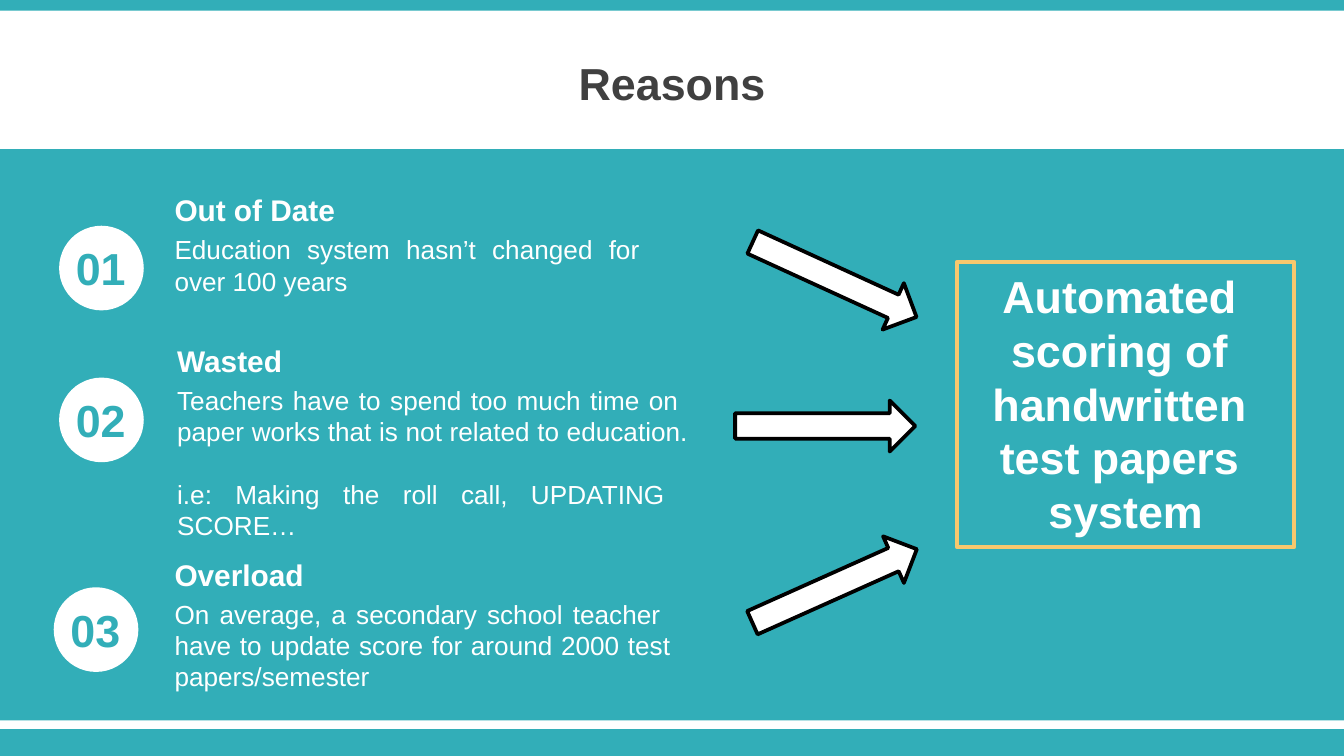
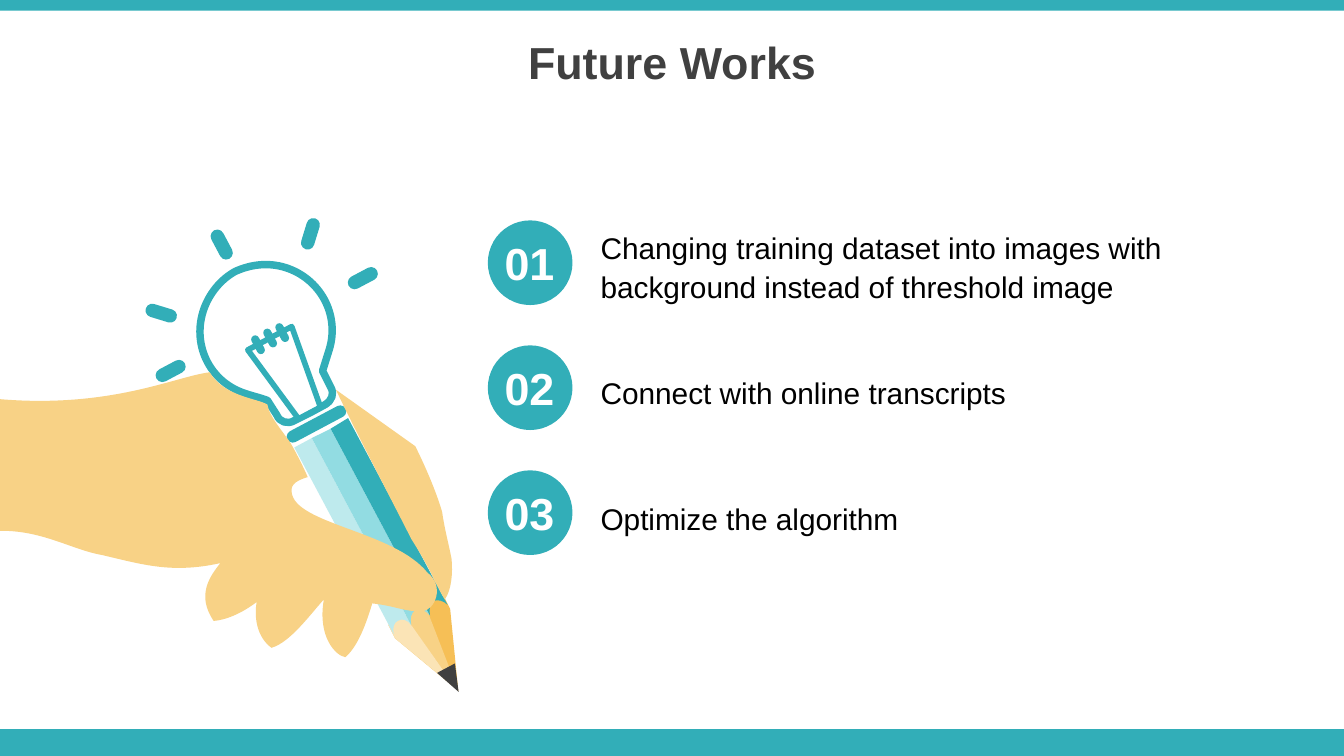
from math import cos, radians, sin

from lxml.etree import SubElement
from pptx import Presentation
from pptx.dml.color import RGBColor
from pptx.enum.shapes import MSO_SHAPE as Shape
from pptx.enum.text import MSO_ANCHOR as Anchor, MSO_AUTO_SIZE as AutoSize, PP_ALIGN as Align
from pptx.oxml.ns import qn
from pptx.util import Pt

TEAL = RGBColor(0x32, 0xAE, 0xB8)
MID_TEAL = RGBColor(0x92, 0xDC, 0xE2)
PALE_TEAL = RGBColor(0xBE, 0xEA, 0xED)
AMBER = RGBColor(0xF6, 0xBF, 0x56)
SAND = RGBColor(0xF8, 0xD2, 0x86)
PALE_SAND = RGBColor(0xFB, 0xE4, 0xB6)
FRAME = RGBColor(0xF7, 0xC8, 0x6E)
DARK = RGBColor(0x40, 0x40, 0x40)
BLACK = RGBColor(0, 0, 0)
WHITE = RGBColor(0xFF, 0xFF, 0xFF)

FONT = "Arial"
WIDTH, HEIGHT = 720, 405
CIRCLE = 45.36
GRID = 0.72
FINE = 100
PENCIL_ANGLE = 332

REASONS = [
    {"heading": "Out of Date",
     "body": "Education system hasn’t changed for \nover 100 years",
     "circle": (31.68, 120.96), "text": (86.4, 99.36), "size": (272.16, 41.04)},
    {"heading": "Wasted",
     "body": "Teachers have to spend too much time on \n"
             "paper works that is not related to education. \n"
             "i.e: Making the roll call, UPDATING \nSCORE…",
     "circle": (31.68, 202.32), "text": (87.84, 180), "size": (288, 74.88)},
    {"heading": "Overload",
     "body": "On average, a secondary school teacher \n"
             "have to update score for around 2000 test papers/semester",
     "circle": (28.8, 314.64), "text": (86.4, 294.48), "size": (280.08, 58.32)},
]
CONCLUSION = ["Automated \nscoring of \nhandwritten \ntest papers ", "system"]
ARROWS = [(393.84, 214.56, 0), (398.88, 136.08, 24.6), (398.88, 300.24, 335.9)]

FUTURE_WORKS = [
    {"body": "Changing training dataset into images with \nbackground instead of threshold image",
     "top": 117.36, "size": (324.72, 49.68), "spacing": 1.1},
    {"body": "Connect with online transcripts",
     "top": 197.28, "size": (360.72, 26.64), "spacing": None},
    {"body": "Optimize the algorithm",
     "top": 264.96, "size": (360.72, 26.64), "spacing": None},
]

PENCIL = [
    (AMBER, (302, 450, 46, 68), "M 289 465 L 330 443 L 335 453 L 341 514 L 294 475 Z"),
    (SAND, (317, 450, 16, 68), "M 302 457 L 316 450 L 319 457 L 341 514 L 307 467 Z"),
    (PALE_SAND, (303, 456, 23, 66),
     "M 289 465 L 302 458 C 304 460 305 462 306 465 L 340 513 L 294 475 Z"),
    (PALE_TEAL, (255, 320, 15, 158),
     "M 219 333 L 232 326 L 306 465 C 303 461 299 460 296 462 C 293 463 292 468 293 472 Z"),
    (MID_TEAL, (268, 313, 15, 158),
     "M 232 326 L 246 319 L 320 458 C 317 454 313 453 309 454 C 306 456 305 460 306 465 Z"),
    (TEAL, (282, 306, 15, 158),
     "M 246 319 L 259 311 L 333 450 C 330 447 326 446 323 447 C 320 449 319 453 320 458 Z"),
]
BULB = (
    "M 175 202 C 186 197 199 195 212 199 C 238 207 253 234 245 260 L 240 276 L 246 288 "
    "C 249 293 247 298 242 301 L 231 307 L 219 313 C 214 316 208 314 206 309 L 199 298 "
    "C 194 296 189 295 183 293 C 157 285 143 258 151 232 C 155 219 164 208 175 202 Z"
)
HAND = (
    "M 250 290 L 309 332 C 317 348 325 367 329 381 C 331 395 334 405 336 416 "
    "C 337 426 336 439 331 446 C 326 439 322 426 306 401 C 293 375 264 320 250 290 Z "
    "M 156 277 C 167 295 190 296 199 301 C 200 310 213 324 217 331 C 222 340 225 346 229 355 "
    "C 222 357 216 360 217 366 C 219 390 293 395 318 426 C 331 436 324 454 314 455 "
    "C 300 455 295 451 277 449 C 271 469 265 482 257 489 C 250 488 236 474 241 446 "
    "C 231 457 216 478 202 482 C 191 474 189 459 191 448 C 183 454 171 461 159 462 "
    "C 146 443 156 429 164 419 C 128 427 106 420 76 413 C 53 409 31 394 -2 395 "
    "L 0 297 C 83 304 131 280 156 277 Z"
)
COMMANDS = {"M": ("a:moveTo", 1), "L": ("a:lnTo", 1), "C": ("a:cubicBezTo", 3), "Z": ("a:close", 0)}
RAY, COIL, COLLAR = (7.2, 17.28), (4.32, 10.8), (35.28, 6.48)
PILLS = [
    (162.72, 116.64, RAY, 17), (82.8, 159.12, RAY, 287), (115.2, 122.4, RAY, 332),
    (190.8, 140.4, RAY, 62), (87.84, 190.08, RAY, 242), (151.92, 223.92, COLLAR, 332),
    (136.08, 179.28, COIL, 332), (142.56, 175.68, COIL, 332), (149.04, 172.8, COIL, 332),
]


def place(shape, left, top, width, height):
    shape.left, shape.top = Pt(left), Pt(top)
    shape.width, shape.height = Pt(width), Pt(height)


def write(shape, paragraphs, size, color, bold=False, align=Align.LEFT, spacing=None,
          anchor=Anchor.TOP, auto_size=AutoSize.SHAPE_TO_FIT_TEXT):
    frame = shape.text_frame
    frame.word_wrap = True
    frame.auto_size = auto_size
    frame.vertical_anchor = anchor
    for index, text in enumerate(paragraphs):
        paragraph = frame.add_paragraph() if index else frame.paragraphs[0]
        paragraph.text = text
        paragraph.alignment = align
        paragraph.space_before = Pt(0)
        if spacing:
            paragraph.line_spacing = spacing
        for run in paragraph.runs:
            run.font.name, run.font.size, run.font.bold = FONT, Pt(size), bold
            run.font.color.rgb = color
        for line_break in paragraph._p.findall(qn("a:br")):
            SubElement(line_break, qn("a:rPr"), sz=str(size * 100))


def add_text(slide, text, box, size, color, **options):
    shape = slide.shapes.add_textbox(*map(Pt, box))
    write(shape, [text], size, color, **options)


def paint(shape, fill=None, line=None, line_width=0):
    shape.shadow.inherit = False
    if fill is None:
        shape.fill.background()
    else:
        shape.fill.solid()
        shape.fill.fore_color.rgb = fill
    if line is None:
        shape.line.fill.background()
    else:
        shape.line.color.rgb = line
        shape.line.width = Pt(line_width)


def add_shape(slide, kind, box, rotation=0, **colors):
    shape = slide.shapes.add_shape(kind, *map(Pt, box))
    shape.rotation = rotation
    paint(shape, **colors)
    return shape


def add_outline(slide, outline, box, rotation=0, **colors):
    left, top, width, height = box
    corners = [(left + width, top), (left + width, top + height), (left, top + height)]
    builder = slide.shapes.build_freeform(left * FINE, top * FINE, scale=Pt(GRID) / FINE)
    builder.add_line_segments([(x * FINE, y * FINE) for x, y in corners])
    shape = builder.convert_to_shape()
    shape.rotation = rotation
    paint(shape, **colors)

    cosine, sine = cos(radians(rotation)), sin(radians(rotation))
    contour = shape._element.find(".//" + qn("a:path"))
    for child in list(contour):
        contour.remove(child)
    tokens = iter(outline.split())
    for command in tokens:
        tag, point_count = COMMANDS[command]
        segment = SubElement(contour, qn(tag))
        for _ in range(point_count):
            x = int(next(tokens)) - left - width / 2
            y = int(next(tokens)) - top - height / 2
            local_x = x * cosine + y * sine + width / 2
            local_y = y * cosine - x * sine + height / 2
            SubElement(segment, qn("a:pt"), x=str(round(local_x * FINE)),
                       y=str(round(local_y * FINE)))


def add_number(slide, number, left, top, fill, color):
    add_shape(slide, Shape.OVAL, (left, top, CIRCLE, CIRCLE), fill=fill)
    add_text(slide, f"{number:02}", (left - 2.88, top + 4.68, 50.4, 36), 24, color,
             bold=True, align=Align.CENTER)


def add_slide(presentation, title, top, height):
    slide = presentation.slides.add_slide(presentation.slide_layouts[5])
    for band_top, band_height in ((390.6, 14.4), (0, 5.76)):
        add_shape(slide, Shape.RECTANGLE, (0, band_top, WIDTH, band_height), fill=TEAL)
    place(slide.shapes.title, 0, top, WIDTH, height)
    write(slide.shapes.title, [title], 24, DARK, bold=True, align=Align.CENTER,
          anchor=Anchor.MIDDLE, auto_size=AutoSize.NONE)
    return slide


def add_reasons(presentation):
    slide = add_slide(presentation, "Reasons", 15.84, 56.88)
    add_shape(slide, Shape.RECTANGLE, (0, 79.92, WIDTH, 306), fill=TEAL)
    for number, reason in enumerate(REASONS, 1):
        left, top = reason["text"]
        width, height = reason["size"]
        add_number(slide, number, *reason["circle"], WHITE, TEAL)
        add_text(slide, reason["body"], (left, top + 22.32, width, height), 14, WHITE,
                 align=Align.JUSTIFY)
        add_text(slide, reason["heading"], (left, top, width, 26.64), 16, WHITE, bold=True)
    add_shape(slide, Shape.OVAL, (396, 160.56, 96.48, 96.48), fill=TEAL)
    conclusion = add_shape(slide, Shape.RECTANGLE, (512.64, 140.4, 180.72, 152.64),
                           line=FRAME, line_width=2.25)
    write(conclusion, CONCLUSION, 24, WHITE, bold=True, align=Align.CENTER)
    for left, top, rotation in ARROWS:
        add_shape(slide, Shape.RIGHT_ARROW, (left, top, 96.48, 27.36), rotation,
                  fill=WHITE, line=BLACK, line_width=2)


def add_future_works(presentation):
    slide = add_slide(presentation, "Future Works", 10.08, 45.36)
    for color, box, outline in PENCIL:
        add_outline(slide, outline, box, PENCIL_ANGLE, fill=color)
    add_shape(slide, Shape.ISOSCELES_TRIANGLE, (236.88, 357.12, 10.8, 14.4), 152, fill=DARK)
    add_outline(slide, BULB, (147, 198, 108, 108), 107, fill=WHITE, line=TEAL, line_width=4)
    add_shape(slide, Shape.TRAPEZOID, (141.84, 178.56, 26.64, 45.36), 152,
              fill=WHITE, line=TEAL, line_width=3)
    for left, top, size, rotation in PILLS:
        pill = add_shape(slide, Shape.ROUNDED_RECTANGLE, (left, top, *size), rotation, fill=TEAL)
        pill.adjustments[0] = 0.5
    add_outline(slide, HAND, (-2, 277, 338, 212), fill=SAND)
    for index, work in enumerate(FUTURE_WORKS):
        add_number(slide, index + 1, 261.36, 118.08 + index * 66.96, TEAL, WHITE)
        add_text(slide, work["body"], (314.64, work["top"], *work["size"]), 16, BLACK,
                 spacing=work["spacing"])


def main():
    presentation = Presentation()
    presentation.slide_width, presentation.slide_height = Pt(WIDTH), Pt(HEIGHT)
    add_reasons(presentation)
    add_future_works(presentation)
    presentation.save("out.pptx")


if __name__ == "__main__":
    main()
